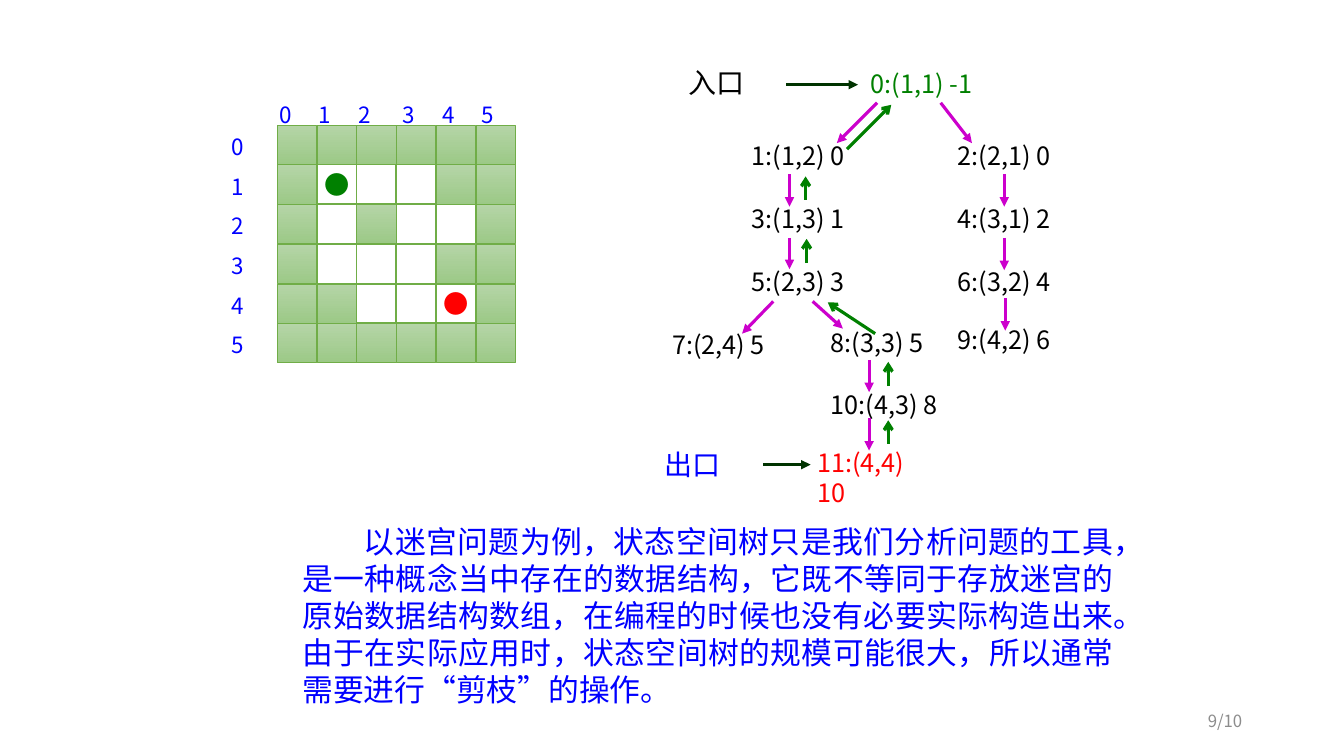
from pptx import Presentation
from pptx.dml.color import RGBColor as RGB
from pptx.enum.shapes import MSO_CONNECTOR as Conn, MSO_SHAPE as Geo
from pptx.enum.text import MSO_ANCHOR as Anchor, PP_ALIGN as Align
from pptx.oxml.ns import qn
from pptx.util import Inches, Pt
from lxml import etree

FACE = "Noto Sans CJK SC"
BLUE, GREEN, RED, BLACK = "0000FF", "008000", "FF0000", "000000"
PINK, DARK, EDGE, WHITE, GRAY = "CC00CC", "003300", "70AD47", "FFFFFF", "8C8C8C"

# Maze: # is a wall, S the start, E the exit
MAZE = ["######", "#S..##", "#.#..#", "#...##", "##..E#", "######"]
LEFT, TOP, SIDE = 2.75, 1.24, 0.39
STEP = (4.72 - LEFT) / 5
HEADS = [2.67, 3.06, 3.46, 3.89, 4.29, 4.68]

# Tree: text, left, top, colour
NODES = [
    ("0:(1,1) -1", 8.54, 0.63, GREEN),
    ("1:(1,2) 0", 7.36, 1.34, BLACK), ("2:(2,1) 0", 9.4, 1.34, BLACK),
    ("3:(1,3) 1", 7.36, 1.97, BLACK), ("4:(3,1) 2", 9.4, 1.97, BLACK),
    ("5:(2,3) 3", 7.36, 2.59, BLACK), ("6:(3,2) 4", 9.4, 2.59, BLACK),
    ("7:(2,4) 5", 6.57, 3.22, BLACK), ("8:(3,3) 5", 8.14, 3.2, BLACK),
    ("9:(4,2) 6", 9.4, 3.17, BLACK), ("10:(4,3) 8", 8.14, 3.81, BLACK),
    ("11:(4,4) 10", 8.01, 4.39, RED),
]

# Arrows: colour, head, ends
ARROWS = [
    (DARK, "triangle", [(7.8, 0.84, 8.51, 0.84), (7.57, 4.61, 8.04, 4.61)]),
    (PINK, "triangle", [
        (8.7, 1.02, 8.3, 1.42), (9.33, 1.02, 9.64, 1.42),
        (7.83, 1.73, 7.83, 2.05), (7.83, 2.36, 7.83, 2.67),
        (9.96, 1.73, 9.96, 2.05), (9.96, 2.36, 9.96, 2.68),
        (9.97, 2.96, 9.97, 3.28), (7.67, 2.99, 7.36, 3.31),
        (8.06, 2.99, 8.36, 3.26), (8.62, 3.57, 8.62, 3.89),
        (8.62, 4.15, 8.62, 4.47)]),
    (GREEN, "arrow", [
        (8.81, 4.4, 8.81, 4.17), (8.81, 3.83, 8.81, 3.59),
        (8, 2.61, 8, 2.37), (7.99, 1.98, 7.99, 1.75),
        (8.4, 1.48, 8.84, 1.04), (8.68, 3.31, 8.21, 3)]),
]

NOTE = ("以迷宫问题为例，状态空间树只是我们分析问题的工具，是一种概念当中存在的数据结构，"
        "它既不等同于存放迷宫的原始数据结构数组，在编程的时候也没有必要实际构造出来。"
        "由于在实际应用时，状态空间树的规模可能很大，所以通常需要进行“剪枝”的操作。")


def tint(code):
    return RGB.from_string(code)


def write(frame, text, size, color, **form):
    para = frame.paragraphs[0]
    for key, val in form.items():
        setattr(para, key, val)
    run = para.add_run()
    run.text = text
    for key, val in {"name": FACE, "size": Pt(size)}.items():
        setattr(run.font, key, val)
    run.font.color.rgb = tint(color)
    east = etree.SubElement(run.font._element, qn("a:ea"))
    east.set("typeface", FACE)
    return para


def label(slide, text, box, size, color, anchor=Anchor.TOP, **form):
    frame = slide.shapes.add_textbox(*map(Inches, box)).text_frame
    frame.word_wrap = True
    frame.vertical_anchor = anchor
    return write(frame, text, size, color, **form)


def cell(slide, row, col, kind):
    box = (LEFT + col * STEP, TOP + row * STEP, SIDE, SIDE)
    rect = slide.shapes.add_shape(Geo.RECTANGLE, *map(Inches, box))
    rect.shadow.inherit = False
    rect.line.color.rgb = tint(EDGE)
    rect.line.width = Pt(0.5 if kind == "#" else 1)
    if kind == "#":
        rect.fill.gradient()
        rect.fill.gradient_angle = 270
        for stop, code in zip(rect.fill.gradient_stops, ("B5D5A7", "9CC987")):
            stop.color.rgb = tint(code)
        return
    rect.fill.solid()
    rect.fill.fore_color.rgb = tint(WHITE)
    if kind in "SE":
        frame = rect.text_frame
        frame.word_wrap = False
        frame.vertical_anchor = Anchor.MIDDLE
        write(frame, "●", 18, GREEN if kind == "S" else RED, alignment=Align.CENTER)


def arrow(slide, ends, color, head):
    link = slide.shapes.add_connector(Conn.STRAIGHT, *map(Inches, ends))
    link.line.color.rgb = tint(color)
    link.line.width = Pt(2.25)
    tip = etree.SubElement(link.line._get_or_add_ln(), qn("a:tailEnd"))
    tip.set("type", head)
    etree.SubElement(link._element.spPr, qn("a:effectLst"))


def main():
    deck = Presentation()
    deck.slide_width, deck.slide_height = Inches(13.33), Inches(7.5)
    slide = deck.slides.add_slide(deck.slide_layouts[6])

    # Maze with its row and column numbers
    for num, left in enumerate(HEADS):
        label(slide, str(num), (left, 0.95, 0.47, 0.37), 16, BLUE)
    for row, line in enumerate(MAZE):
        label(slide, str(row), (2.2, 1.27 + row * STEP, 0.47, 0.37), 16, BLUE)
        for col, kind in enumerate(line):
            cell(slide, row, col, kind)

    # State tree
    for text, left, top, color in NODES:
        label(slide, text, (left, top, 1.34, 0.4), 18, color)
    label(slide, "入口", (6.73, 0.6, 1.26, 0.43), 20, BLACK)
    label(slide, "出口", (6.49, 4.39, 1.26, 0.43), 20, BLUE)
    for color, head, paths in ARROWS:
        for ends in paths:
            arrow(slide, ends, color, head)

    # Closing remark and page number
    para = label(slide, NOTE, (2.9, 5.14, 8.25, 1.95), 22, BLUE,
                 alignment=Align.JUSTIFY)
    para._p.get_or_add_pPr().set("indent", str(Inches(0.61)))
    label(slide, "9/10", (9.42, 6.95, 3, 0.4), 12, GRAY, Anchor.MIDDLE,
          alignment=Align.RIGHT)

    deck.save("out.pptx")


if __name__ == "__main__":
    main()
